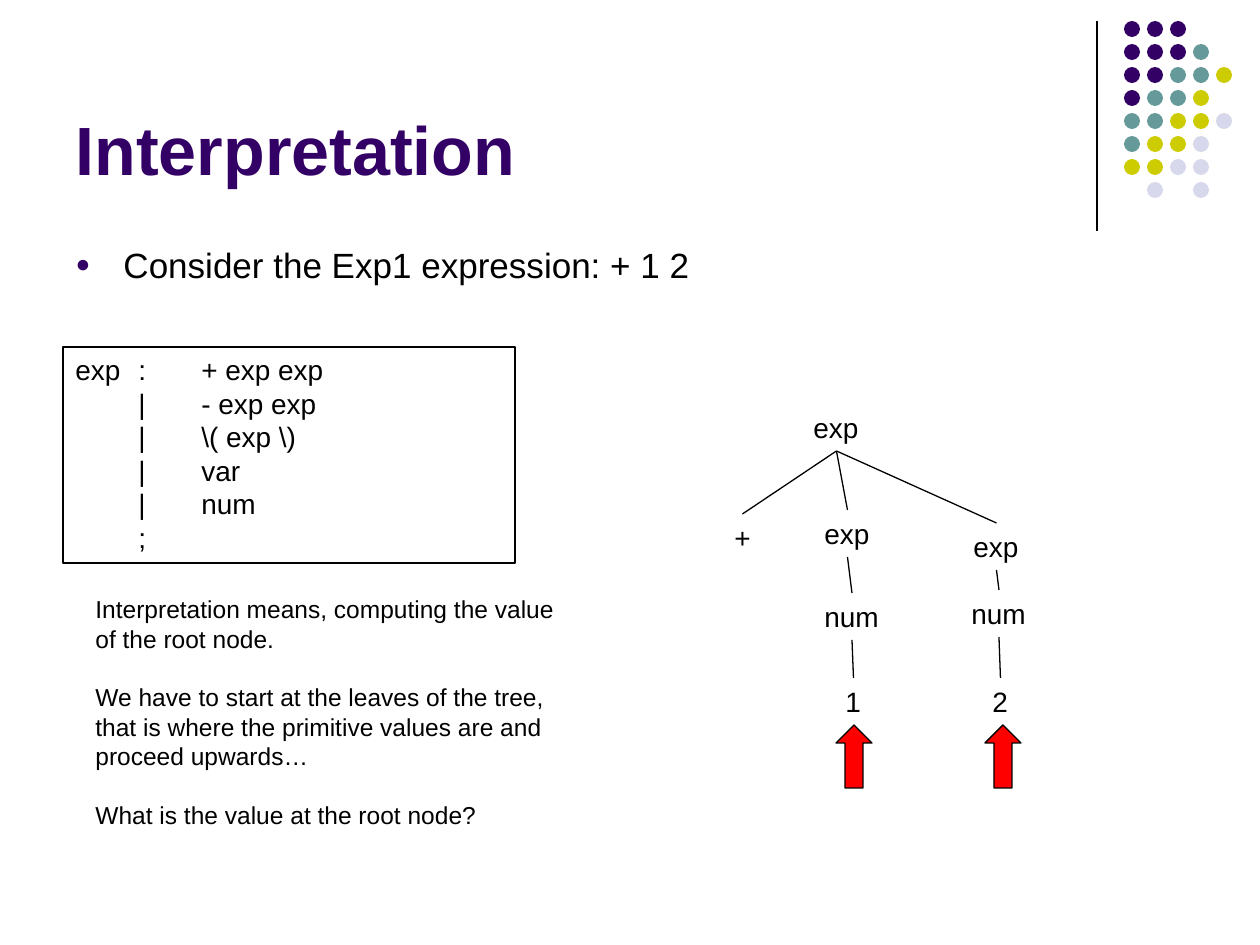
from dataclasses import dataclass

from lxml import etree
from pptx import Presentation
from pptx import util as u
from pptx.dml.color import RGBColor
from pptx.enum import shapes, text
from pptx.oxml.ns import qn

EMU_PER_PX = 914400 / 126


@dataclass(frozen=True)
class Theme:
    font: str = "Arial"
    ink: str = "000000"
    accent: str = "330066"
    teal: str = "669999"
    yellow: str = "CCCC00"
    pale: str = "D8D8EC"
    arrow: str = "FF0000"
    title_size: float = 39
    body_size: float = 20
    code_size: float = 16
    note_size: float = 14
    code_leading: float = 19.1
    note_leading: float = 16.8
    line_width: float = 0.75


THEME = Theme()
DOT_COLOURS = {"P": THEME.accent, "T": THEME.teal, "Y": THEME.yellow, "L": THEME.pale}
DOT_ROWS = ["PPP", "PPPT", "PPTTY", "PTTY", "TTYYL", "TYYL", "YYLL", " L L"]
GRAMMAR = ["exp\t:\t+ exp exp", "\t|\t- exp exp", "\t|\t\\( exp \\)", "\t|\tvar", "\t|\tnum", "\t;"]
NOTES = [
    "Interpretation means, computing the value of the root node.",
    "We have to start at the leaves of the tree, that is where the primitive values are and proceed upwards…",
    "What is the value at the root node?",
]
NODES = {
    "root": ("exp", 801, 404, 71),
    "plus": ("+", 722, 514, 41),
    "left": ("exp", 812, 510, 71),
    "right": ("exp", 961, 523, 71),
    "left num": ("num", 812, 593, 80),
    "right num": ("num", 959, 590, 80),
    "one": ("1", 833, 678, 41),
    "two": ("2", 980, 678, 41),
}
NODE_HEIGHT = 47
BRANCHES = [
    ("plus", "root"), ("left", "root"), ("right", "root"),
    ("left num", "left"), ("right num", "right"),
    ("one", "left num"), ("two", "right num"),
]


def px(*lengths):
    return [u.Emu(round(length * EMU_PER_PX)) for length in lengths]


def apply(target, values):
    for name, value in values.items():
        setattr(target, name, value)


def write(box, lines, size, colour=THEME.ink, bold=False, frame_format=None, para_format=None):
    frame = box.text_frame
    apply(frame, {"word_wrap": True, "auto_size": text.MSO_AUTO_SIZE.NONE,
                  "vertical_anchor": text.MSO_ANCHOR.TOP, **(frame_format or {})})
    for index, line in enumerate(lines):
        para = frame.paragraphs[0] if index == 0 else frame.add_paragraph()
        apply(para, {"alignment": text.PP_ALIGN.LEFT, **(para_format or {})})
        if index == 0 and len(lines) > 1:
            para.space_before = u.Pt(0)
        span = para.add_run()
        span.text = line
        apply(span.font, {"name": THEME.font, "size": u.Pt(size), "bold": bold})
        span.font.color.rgb = RGBColor.from_string(colour)


def place(box, left, top, width, height):
    apply(box, dict(zip(("left", "top", "width", "height"), px(left, top, width, height))))


def set_bullet(para, colour):
    properties = para._p.get_or_add_pPr()
    properties.set("marL", str(u.Inches(0.38)))
    properties.set("indent", str(u.Inches(-0.38)))
    bullet_colour = etree.SubElement(properties, qn("a:buClr"))
    etree.SubElement(bullet_colour, qn("a:srgbClr")).set("val", colour)
    etree.SubElement(properties, qn("a:buSzPct")).set("val", "70000")
    etree.SubElement(properties, qn("a:buFont")).set("typeface", THEME.font)
    etree.SubElement(properties, qn("a:buChar")).set("char", "●")


def add_preset(container, kind, bounds, fill=None, outlined=True):
    shape = container.add_shape(kind, *px(*bounds))
    shape.shadow.inherit = False
    if fill:
        shape.fill.solid()
        shape.fill.fore_color.rgb = RGBColor.from_string(fill)
    else:
        shape.fill.background()
    if outlined:
        shape.line.color.rgb = RGBColor.from_string(THEME.ink)
        shape.line.width = u.Pt(THEME.line_width)
    else:
        shape.line.fill.background()
    return shape


def add_line(page, ends=(0, 0, 0, 0)):
    line = page.shapes.add_connector(shapes.MSO_CONNECTOR.STRAIGHT, *px(*ends))
    line.line.color.rgb = RGBColor.from_string(THEME.ink)
    line.line.width = u.Pt(THEME.line_width)
    etree.SubElement(line._element.spPr, qn("a:effectLst"))
    return line


def add_dots(page):
    group = page.shapes.add_group_shape()
    for row, marks in enumerate(DOT_ROWS):
        for column, mark in enumerate(marks):
            if mark in DOT_COLOURS:
                bounds = (1124 + 23 * column, 21 + 23 * row, 16, 16)
                add_preset(group.shapes, shapes.MSO_SHAPE.OVAL, bounds, DOT_COLOURS[mark], False)


def add_headings(page):
    title, body = page.placeholders
    place(title, 63, 16, 1040, 179)
    write(title, ["Interpretation"], THEME.title_size, THEME.accent, True,
          {"vertical_anchor": text.MSO_ANCHOR.BOTTOM})
    place(body, 63, 237, 1134, 68)
    write(body, ["Consider the Exp1 expression: + 1 2"], THEME.body_size,
          para_format={"space_before": u.Pt(4)})
    set_bullet(body.text_frame.paragraphs[0], THEME.accent)


def add_grammar(page):
    box = add_preset(page.shapes, shapes.MSO_SHAPE.RECTANGLE, (63, 347, 452, 216))
    write(box, GRAMMAR, THEME.code_size, para_format={"line_spacing": u.Pt(THEME.code_leading)})


def add_notes(page):
    box = page.shapes.add_textbox(*px(83, 588, 487, 251))
    leading = u.Pt(THEME.note_leading)
    write(box, NOTES, THEME.note_size,
          para_format={"line_spacing": leading, "space_before": leading})


def add_tree(page):
    boxes = {}
    for name, (label, left, top, width) in NODES.items():
        boxes[name] = page.shapes.add_textbox(*px(left, top, width, NODE_HEIGHT))
        write(boxes[name], [label], THEME.code_size, frame_format={"word_wrap": False})
    for child, parent in BRANCHES:
        branch = add_line(page)
        branch.begin_connect(boxes[child], 0)
        branch.end_connect(boxes[parent], 2)
    for left in (836, 985):
        add_preset(page.shapes, shapes.MSO_SHAPE.UP_ARROW, (left, 725, 36, 63), THEME.arrow)


def main():
    deck = Presentation()
    deck.slide_width, deck.slide_height = px(1260, 945)
    page = deck.slides.add_slide(deck.slide_layouts[1])
    add_line(page, (1097, 21, 1097, 231))
    add_dots(page)
    add_headings(page)
    add_grammar(page)
    add_notes(page)
    add_tree(page)
    deck.save("out.pptx")


if __name__ == "__main__":
    main()
